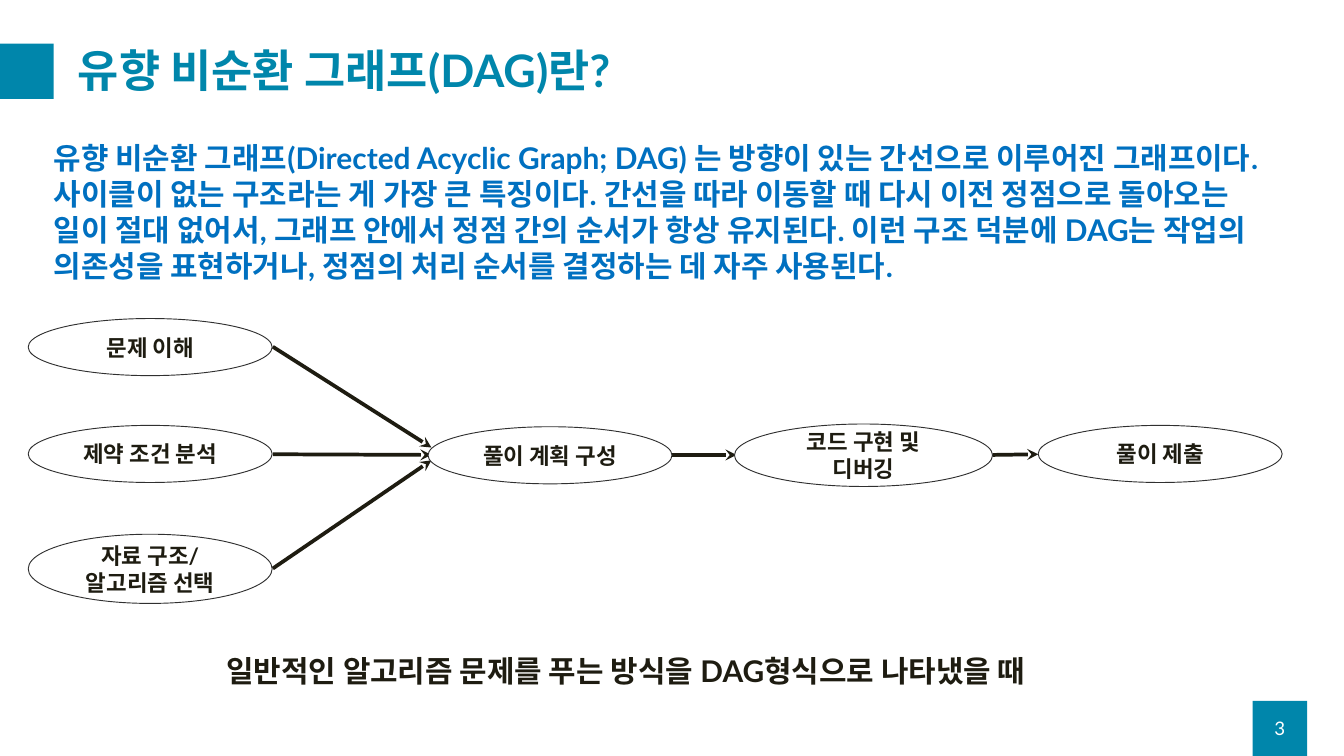
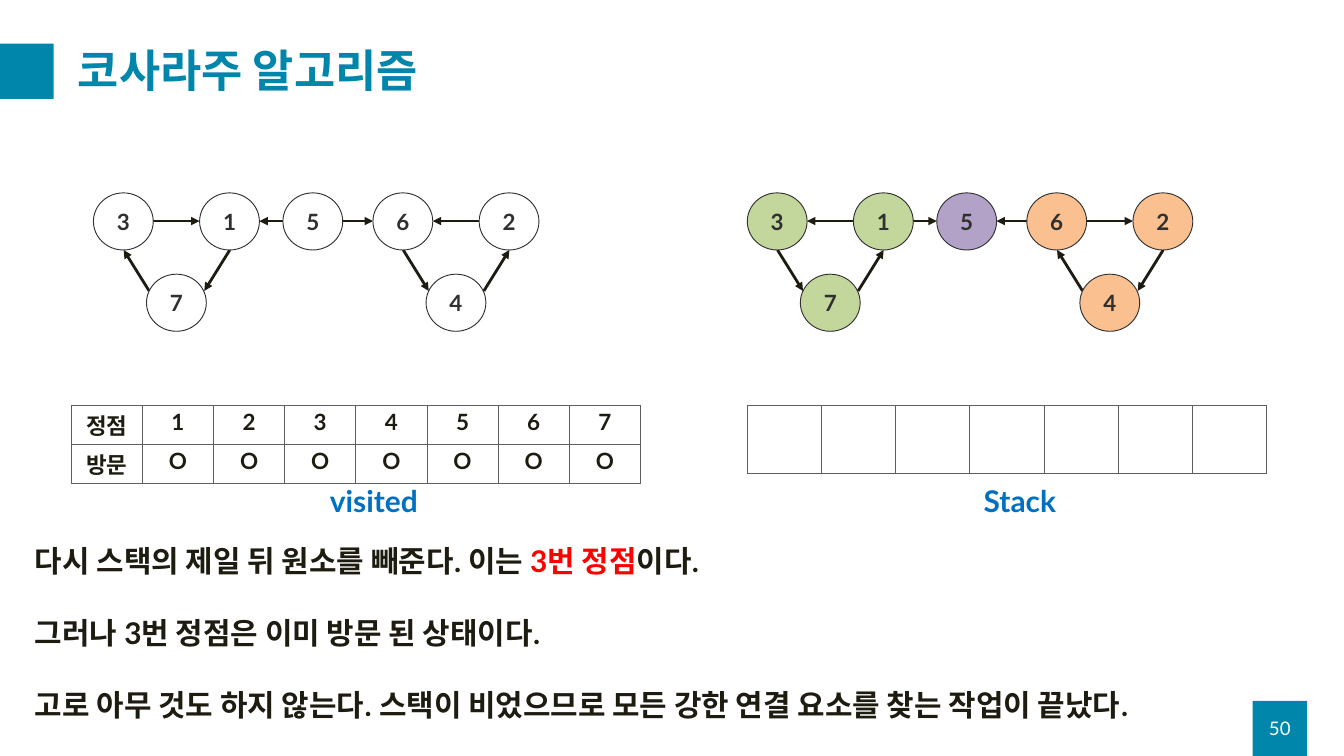
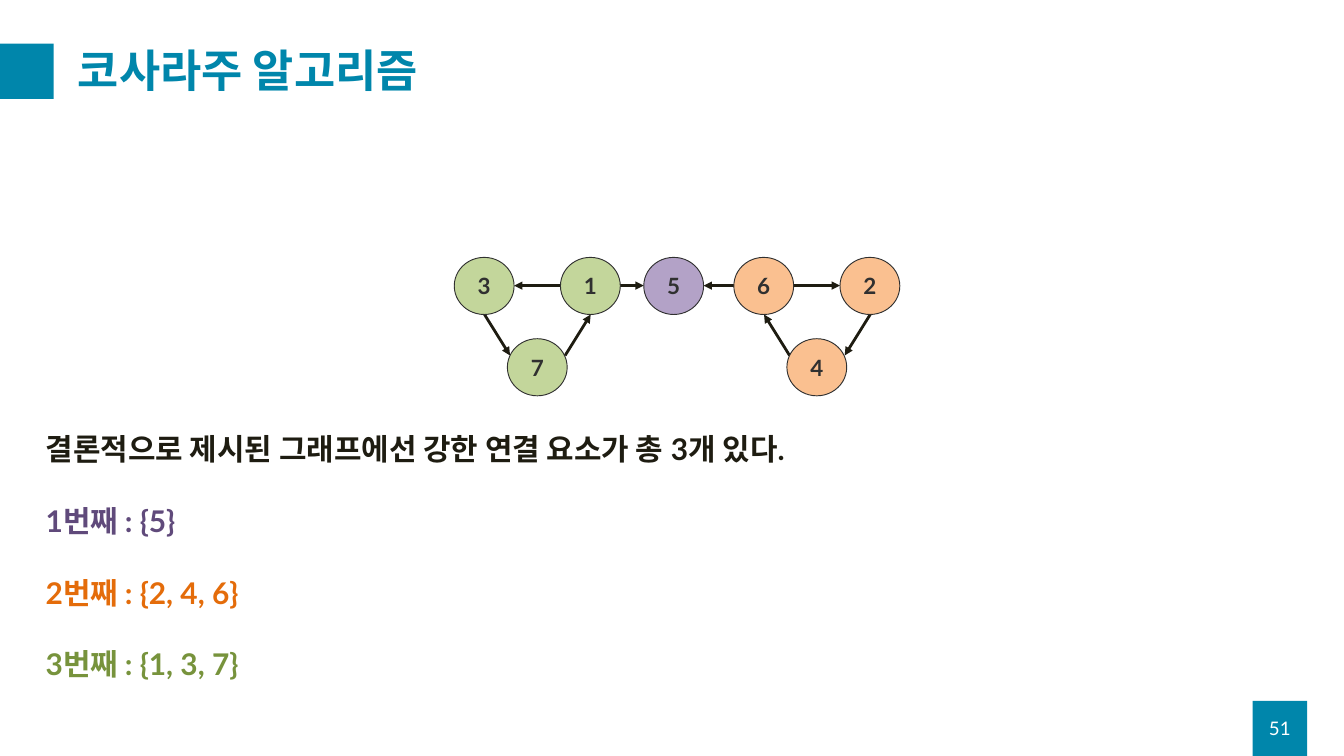
from dataclasses import dataclass
from typing import NamedTuple

from lxml.etree import SubElement
from pptx import Presentation
from pptx.dml.color import RGBColor
from pptx.enum.shapes import MSO_CONNECTOR, MSO_SHAPE
from pptx.enum.text import MSO_ANCHOR, MSO_AUTO_SIZE, PP_ALIGN
from pptx.oxml.ns import qn
from pptx.util import Inches, Pt


# ---- Theme ----
@dataclass(frozen=True)
class Theme:
    font: str = "Lato"
    accent: str = "0086AB"
    white: str = "FFFFFF"
    ink: str = "1E1C11"
    outline: str = "303030"
    grid: str = "5F5F5F"
    blue: str = "0070C0"
    red: str = "FF0000"
    green_fill: str = "C3D69B"
    orange_fill: str = "FAC090"
    purple_fill: str = "B3A2C7"
    green: str = "77933C"
    orange: str = "E46C0A"
    purple: str = "604A7B"
    title_size: int = 48
    body_size: int = 32
    node_size: int = 24
    number_size: int = 20
    paragraph_gap: float = 38.4


THEME = Theme()


# ---- Repeated elements ----
class Box(NamedTuple):
    left: float
    top: float
    width: float
    height: float


class Span(NamedTuple):
    text: str
    color: str = THEME.ink


class Step(NamedTuple):
    text: str
    box: Box


class Arrow(NamedTuple):
    start: tuple[float, float]
    finish: tuple[float, float]


class Edge(NamedTuple):
    source: int
    source_port: str
    target: int
    target_port: str


NUMBER_BOX = Box(18.64, 10.43, 0.81, 0.82)
TITLE_MARK = Box(-0.01, 0.65, 0.81, 0.82)
TITLE_BOX = Box(1.06, 0.5, 18.25, 1.18)

# Algorithm-solving steps and their order
STEPS = [
    Step("문제 이해", Box(0.42, 4.74, 3.63, 0.85)),
    Step("제약 조건 분석", Box(0.42, 6.33, 3.63, 0.85)),
    Step("자료 구조/ 알고리즘 선택", Box(0.42, 7.95, 3.63, 1.03)),
    Step("풀이 계획 구성", Box(6.37, 6.35, 3.63, 0.85)),
    Step("코드 구현 및 디버깅", Box(10.93, 6.31, 3.84, 0.93)),
    Step("풀이 제출", Box(15.45, 6.33, 3.63, 0.85)),
]
STEP_ARROWS = [
    Arrow((4.06, 5.16), (6.42, 6.66)),
    Arrow((4.06, 6.76), (6.42, 6.77)),
    Arrow((4.06, 8.46), (6.42, 6.85)),
    Arrow((10, 6.77), (10.96, 6.77)),
    Arrow((14.77, 6.77), (15.45, 6.76)),
]

# Directed graph: vertex offsets from its top left corner, and edges by port
VERTEX_WIDTH, VERTEX_HEIGHT = 0.89, 0.85
VERTICES = {
    3: (0, 0), 1: (1.58, 0), 5: (2.82, 0), 6: (4.16, 0), 2: (5.74, 0),
    7: (0.79, 1.21), 4: (4.95, 1.21),
}
PORTS = {
    "left": (0, 0.42),
    "right": (0.89, 0.42),
    "bottom": (0.45, 0.85),
    "left shoulder": (0.04, 0.25),
    "right shoulder": (0.86, 0.25),
}
EDGES = [
    Edge(3, "right", 1, "left"),
    Edge(5, "left", 1, "right"),
    Edge(5, "right", 6, "left"),
    Edge(2, "left", 6, "right"),
    Edge(1, "bottom", 7, "right shoulder"),
    Edge(7, "left shoulder", 3, "bottom"),
    Edge(6, "bottom", 4, "left shoulder"),
    Edge(4, "right shoulder", 2, "bottom"),
]
COMPONENT_FILLS = {
    **dict.fromkeys((1, 3, 7), THEME.green_fill),
    **dict.fromkeys((2, 4, 6), THEME.orange_fill),
    5: THEME.purple_fill,
}


# ---- Drawing helpers ----
def rgb(color: str) -> RGBColor:
    return RGBColor.from_string(color)


def inches(box: Box) -> list:
    return [Inches(length) for length in box]


def format_paragraph(para, size: int, color: str, bold: bool = True, align=PP_ALIGN.LEFT) -> None:
    para.alignment = align
    for run in para.runs:
        run.font.name = THEME.font
        run.font.size = Pt(size)
        run.font.bold = bold
        run.font.color.rgb = rgb(color)


def place(shape, box: Box) -> None:
    shape.left, shape.top, shape.width, shape.height = inches(box)


def add_label(page, box: Box, text: str, color: str) -> None:
    frame = page.shapes.add_textbox(*inches(box)).text_frame
    frame.word_wrap = True
    frame.text = text
    format_paragraph(frame.paragraphs[0], THEME.body_size, color)


def add_block(page, box: Box, text: str = "") -> None:
    block = page.shapes.add_shape(MSO_SHAPE.RECTANGLE, *inches(box))
    block.shadow.inherit = False
    block.fill.solid()
    block.fill.fore_color.rgb = rgb(THEME.accent)
    block.line.fill.background()
    if text:
        block.text_frame.text = text
        block.text_frame.vertical_anchor = MSO_ANCHOR.MIDDLE
        format_paragraph(block.text_frame.paragraphs[0], THEME.number_size, THEME.white,
                         bold=False, align=PP_ALIGN.CENTER)


def add_ellipse(page, box: Box, text: str, fill: str, color: str) -> None:
    ellipse = page.shapes.add_shape(MSO_SHAPE.OVAL, *inches(box))
    ellipse.shadow.inherit = False
    ellipse.fill.solid()
    ellipse.fill.fore_color.rgb = rgb(fill)
    ellipse.line.color.rgb = rgb(THEME.outline)
    ellipse.line.width = Pt(1)
    frame = ellipse.text_frame
    frame.word_wrap = True
    frame.vertical_anchor = MSO_ANCHOR.MIDDLE
    frame.text = text
    format_paragraph(frame.paragraphs[0], THEME.node_size, color, align=PP_ALIGN.CENTER)


def add_arrow(page, arrow: Arrow, width: float, head: str) -> None:
    ends = [Inches(length) for length in (*arrow.start, *arrow.finish)]
    line = page.shapes.add_connector(MSO_CONNECTOR.STRAIGHT, *ends)
    line.line.color.rgb = rgb(THEME.ink)
    line.line.width = Pt(width)
    properties = line.element.spPr
    SubElement(properties.find(qn("a:ln")), qn("a:tailEnd"), type=head)
    SubElement(properties, qn("a:effectLst"))


def port_point(left: float, top: float, vertex: int, port: str) -> tuple[float, float]:
    (x, y), (across, down) = VERTICES[vertex], PORTS[port]
    return left + x + across, top + y + down


def add_graph(page, left: float, top: float, fills: dict[int, str], reverse: bool) -> None:
    for edge in EDGES:
        ends = [port_point(left, top, edge.source, edge.source_port),
                port_point(left, top, edge.target, edge.target_port)]
        if reverse:
            ends.reverse()
        add_arrow(page, Arrow(*ends), 3, "triangle")
    for vertex, (x, y) in VERTICES.items():
        box = Box(left + x, top + y, VERTEX_WIDTH, VERTEX_HEIGHT)
        add_ellipse(page, box, str(vertex), fills.get(vertex, THEME.white), THEME.outline)


def add_grid(page, box: Box, rows: list[list[str]]) -> None:
    frame = page.shapes.add_table(len(rows), len(rows[0]), *inches(box))
    table = frame.table
    table.first_row = table.horz_banding = False
    for row, texts in zip(table.rows, rows):
        for cell, text in zip(row.cells, texts):
            properties = cell._tc.get_or_add_tcPr()
            for side in ("a:lnL", "a:lnR", "a:lnT", "a:lnB"):
                border = SubElement(properties, qn(side), w=str(Pt(1)))
                fill = SubElement(border, qn("a:solidFill"))
                SubElement(fill, qn("a:srgbClr"), val=THEME.grid)
            cell.fill.solid()
            cell.fill.fore_color.rgb = rgb(THEME.white)
            cell.text = text
            format_paragraph(cell.text_frame.paragraphs[0], THEME.node_size, THEME.ink,
                             align=PP_ALIGN.CENTER)


def fill_body(page, box: Box, paragraphs: list[list[Span]]) -> None:
    body = page.placeholders[1]
    place(body, box)
    frame = body.text_frame
    frame.auto_size = MSO_AUTO_SIZE.NONE
    frame.text = "\n".join(spans[0].text for spans in paragraphs)
    for para, spans in zip(frame.paragraphs, paragraphs):
        for span in spans[1:]:
            para.add_run().text = span.text
        format_paragraph(para, THEME.body_size, THEME.ink)
        for run, span in zip(para.runs, spans):
            run.font.color.rgb = rgb(span.color)
        para.space_before = Pt(0)
        para.space_after = Pt(THEME.paragraph_gap)
        properties = para._p.get_or_add_pPr()
        properties.set("marL", "0")
        properties.set("indent", "0")
        SubElement(properties, qn("a:buNone"))


def add_page(deck, title: str, number: int):
    page = deck.slides.add_slide(deck.slide_layouts[1])
    add_block(page, TITLE_MARK)
    add_block(page, NUMBER_BOX, str(number))
    place(page.shapes.title, TITLE_BOX)
    frame = page.shapes.title.text_frame
    frame.auto_size = MSO_AUTO_SIZE.NONE
    frame.vertical_anchor = MSO_ANCHOR.MIDDLE
    frame.text = title
    frame.paragraphs[0].line_spacing = 0.9
    format_paragraph(frame.paragraphs[0], THEME.title_size, THEME.accent)
    return page


# ---- Slides ----
def add_definition_page(deck) -> None:
    page = add_page(deck, "유향 비순환 그래프(DAG)란?", 3)
    definition = (
        "유향 비순환 그래프(Directed Acyclic Graph; DAG) 는 방향이 있는 간선으로 이루어진 그래프이다. "
        "사이클이 없는 구조라는 게 가장 큰 특징이다. 간선을 따라 이동할 때 다시 이전 정점으로 돌아오는 "
        "일이 절대 없어서, 그래프 안에서 정점 간의 순서가 항상 유지된다. 이런 구조 덕분에 DAG는 "
        "작업의 의존성을 표현하거나, 정점의 처리 순서를 결정하는 데 자주 사용된다."
    )
    fill_body(page, Box(0.7, 2.03, 18.61, 2.26), [[Span(definition, THEME.blue)]])
    for arrow in STEP_ARROWS:
        add_arrow(page, arrow, 4, "stealth")
    for step in STEPS:
        add_ellipse(page, step.box, step.text, THEME.white, THEME.ink)
    add_label(page, Box(3.27, 9.66, 15, 0.64),
              "일반적인 알고리즘 문제를 푸는 방식을 DAG형식으로 나타냈을 때", THEME.ink)


def add_last_pop_page(deck) -> None:
    page = add_page(deck, "코사라주 알고리즘", 50)
    add_graph(page, 1.39, 2.87, {}, reverse=False)
    add_graph(page, 11.12, 2.87, COMPONENT_FILLS, reverse=True)
    visited = [["정점", *map(str, range(1, 8))], ["방문", *["O"] * 7]]
    add_grid(page, Box(1.06, 6.03, 8.47, 1), visited)
    add_grid(page, Box(11.12, 6.03, 7.73, 1.01), [[""] * 7])
    add_label(page, Box(4.81, 7.14, 3.14, 0.64), "visited", THEME.blue)
    add_label(page, Box(14.54, 7.14, 3.14, 0.64), "Stack", THEME.blue)
    fill_body(page, Box(0.42, 8.03, 19.16, 2.79), [
        [Span("다시 스택의 제일 뒤 원소를 빼준다. 이는 "), Span("3번 정점", THEME.red), Span("이다.")],
        [Span("그러나 3번 정점은 이미 방문 된 상태이다.")],
        [Span("고로 아무 것도 하지 않는다. 스택이 비었으므로 모든 강한 연결 요소를 찾는 작업이 끝났다.")],
    ])


def add_conclusion_page(deck) -> None:
    page = add_page(deck, "코사라주 알고리즘", 51)
    add_graph(page, 6.76, 3.83, COMPONENT_FILLS, reverse=True)
    fill_body(page, Box(0.58, 6.36, 18.84, 3.87), [
        [Span("결론적으로 제시된 그래프에선 강한 연결 요소가 총 3개 있다.")],
        [Span("1번째 : {5}", THEME.purple)],
        [Span("2번째 : {2, 4, 6}", THEME.orange)],
        [Span("3번째 : {1, 3, 7}", THEME.green)],
    ])


def main() -> None:
    deck = Presentation()
    deck.slide_width, deck.slide_height = Inches(20), Inches(11.25)
    add_definition_page(deck)
    add_last_pop_page(deck)
    add_conclusion_page(deck)
    deck.save("out.pptx")


if __name__ == "__main__":
    main()
